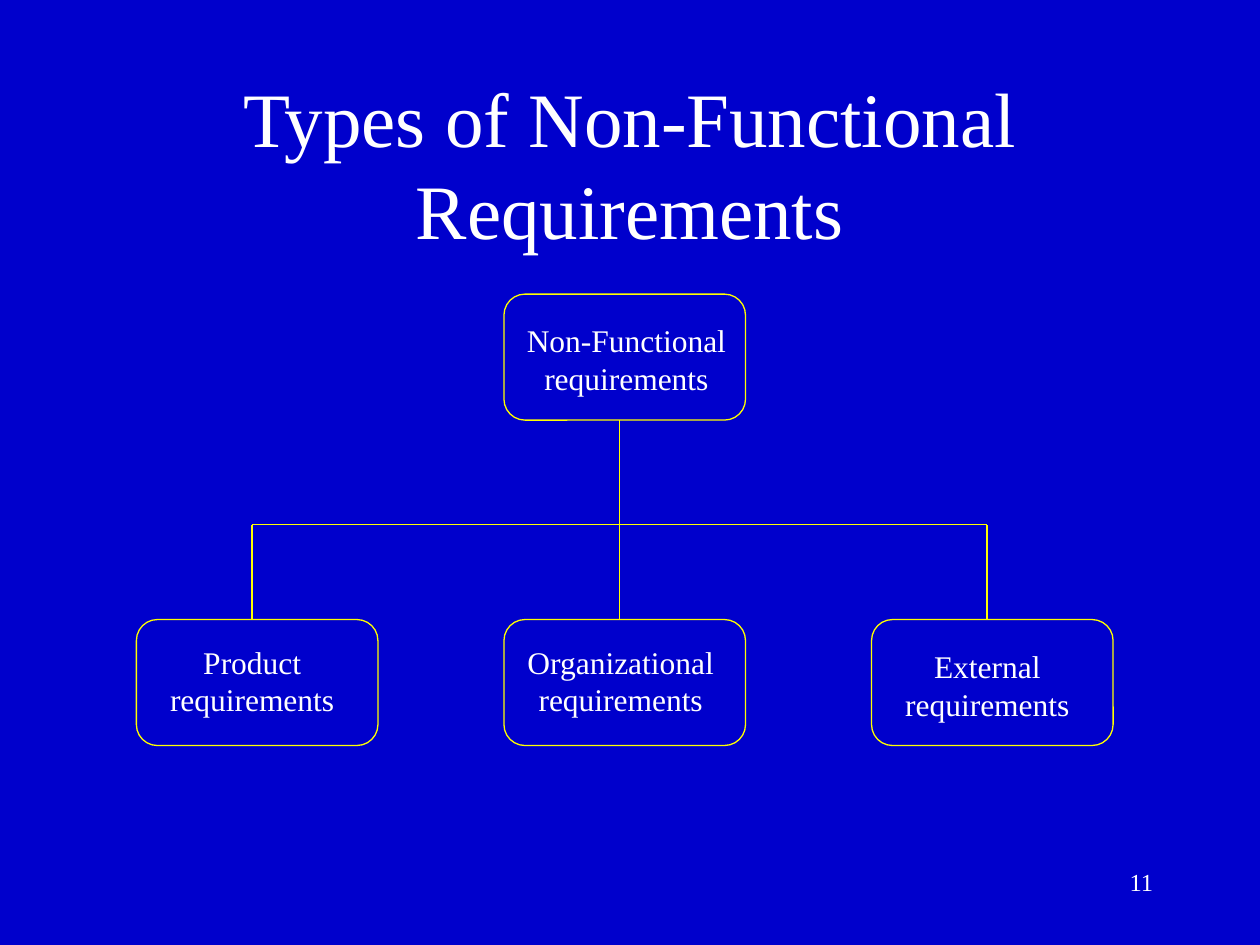
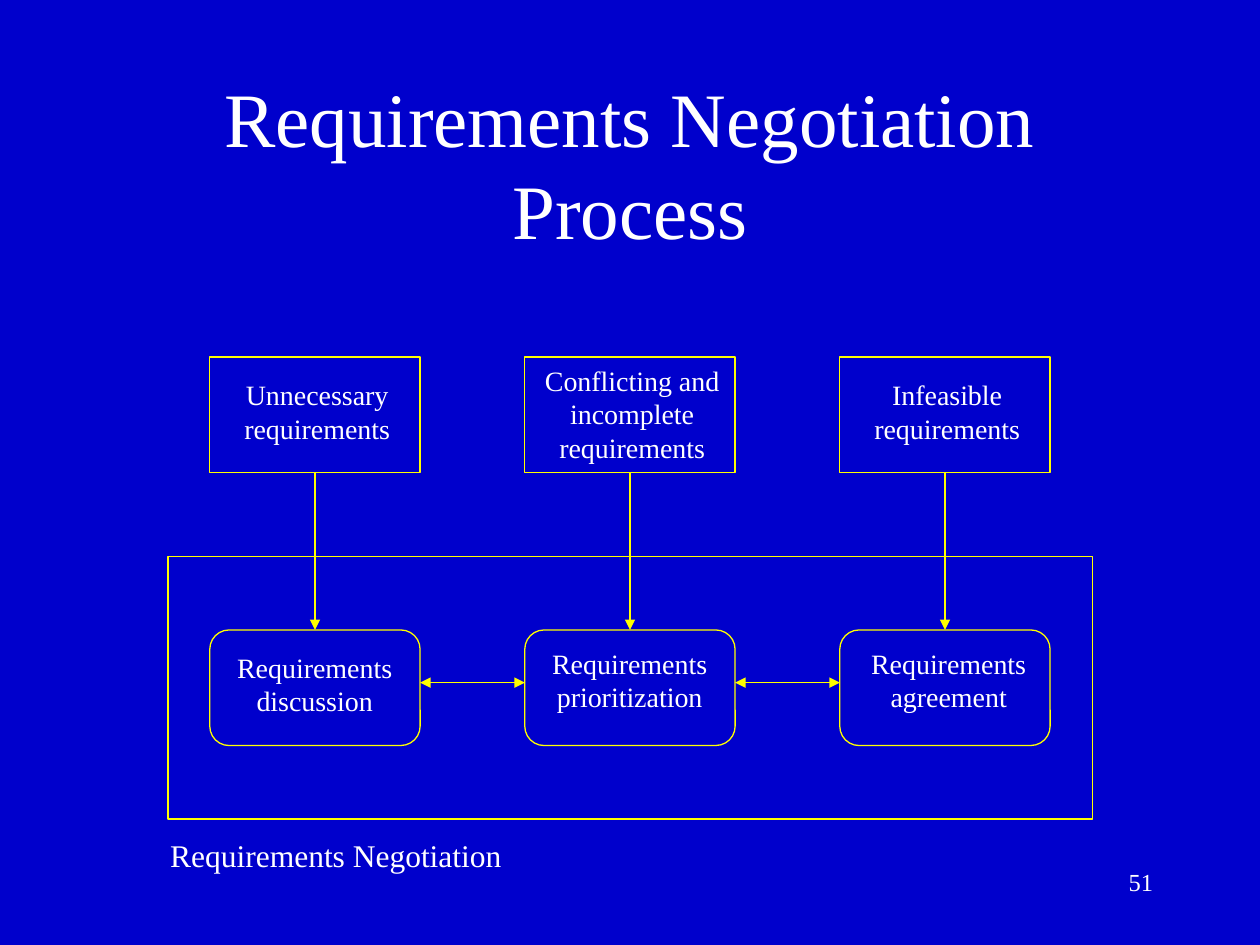
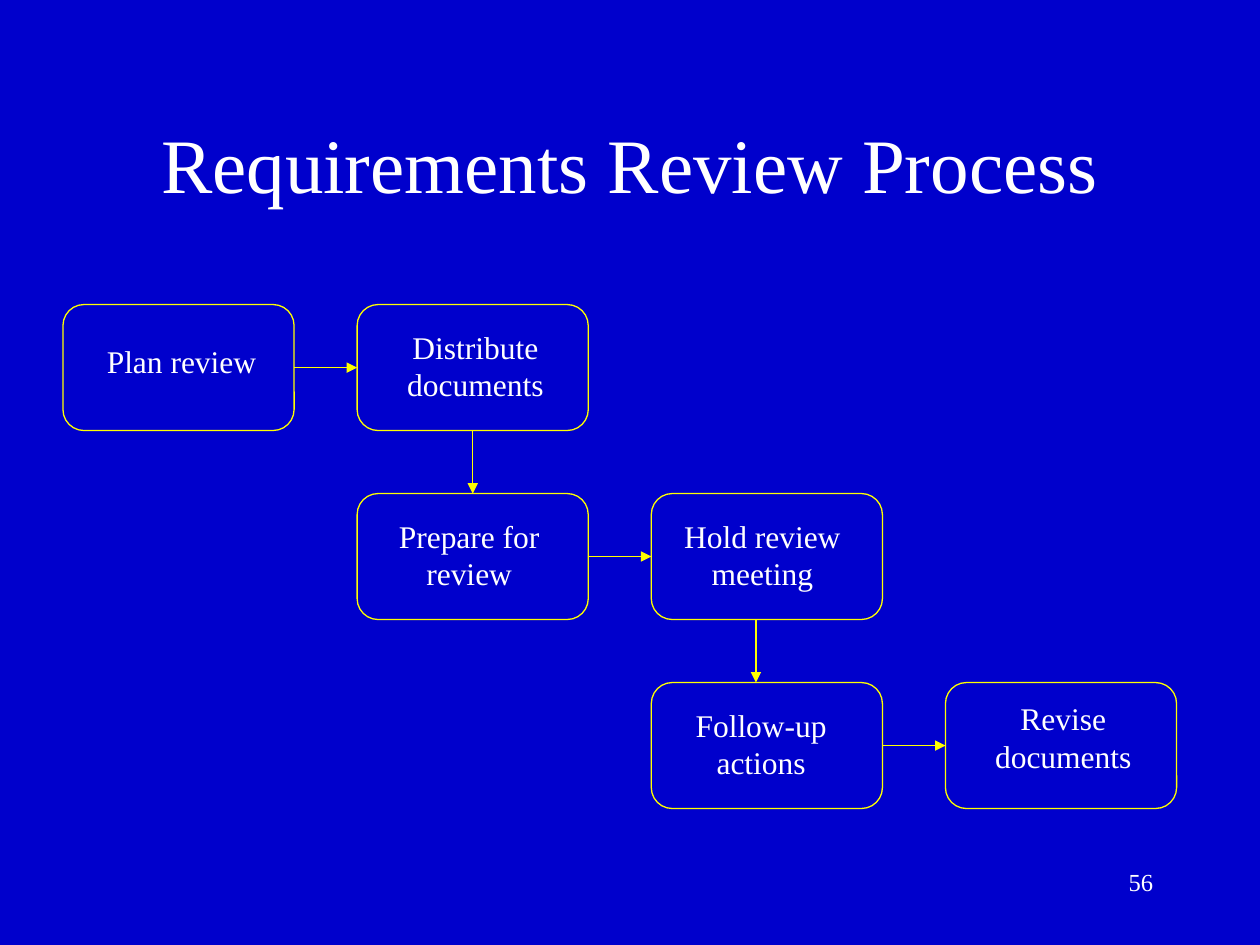
from dataclasses import dataclass

from lxml import etree
from pptx import Presentation
from pptx.dml.color import RGBColor
from pptx.enum.shapes import MSO_CONNECTOR, MSO_SHAPE
from pptx.enum.text import MSO_ANCHOR, MSO_AUTO_SIZE, PP_ALIGN
from pptx.oxml.ns import qn
from pptx.util import Cm, Pt

STRAIGHT = MSO_CONNECTOR.STRAIGHT
ROUNDED, RECTANGLE = MSO_SHAPE.ROUNDED_RECTANGLE, MSO_SHAPE.RECTANGLE
MIDDLE, TOP = MSO_ANCHOR.MIDDLE, MSO_ANCHOR.TOP
FIT_SHAPE, NO_FIT = MSO_AUTO_SIZE.SHAPE_TO_FIT_TEXT, MSO_AUTO_SIZE.NONE
CENTER, RIGHT = PP_ALIGN.CENTER, PP_ALIGN.RIGHT
TITLE_ONLY = 5


@dataclass(frozen=True)
class Theme:
    background: RGBColor = RGBColor(0x00, 0x00, 0xCC)
    text: RGBColor = RGBColor(0xFF, 0xFF, 0xFF)
    outline: RGBColor = RGBColor(0xFF, 0xFF, 0x00)
    font: str = "Times New Roman"
    title_size: int = 44
    label_size: int = 18
    small_size: int = 16
    number_size: int = 14
    line_width: float = 0.75


THEME = Theme()

# All lengths are centimetres.
# A label is (text, offset from the left and top of its box, width).
TYPES = {
    "title": "Types of Non-Functional Requirements",
    "number": "11",
    "root": ("Non-Functional\nrequirements", 0.18, 0.42, 4.58),
    "kinds": [
        ("Product\nrequirements", 0.4, 0.34, 3.87),
        ("Organizational\nrequirements", 0.19, 0.34, 4.33),
        ("External\nrequirements", 0.4, 0.43, 3.87),
    ],
}
NEGOTIATION = {
    "title": "Requirements Negotiation Process",
    "number": "51",
    "caption": "Requirements Negotiation",
    "inputs": [
        ("Unnecessary\nrequirements", 0.41, 0.29, 3.51),
        ("Conflicting and\nincomplete\nrequirements", 0.12, 0, 4.09),
        ("Infeasible\nrequirements", 0.41, 0.29, 3.51),
    ],
    "activities": [
        ("Requirements\ndiscussion", 0.27, 0.28, 3.69),
        ("Requirements\nprioritization", 0.27, 0.2, 3.69),
        ("Requirements\nagreement", 0.36, 0.2, 3.67),
    ],
}
REVIEW = {
    "title": "Requirements Review Process",
    "number": "56",
    "steps": [
        ("Plan review", 0.6, 0.64, 3.58),
        ("Distribute\ndocuments", 0.73, 0.34, 3.31),
        ("Prepare for\nreview", 0.56, 0.34, 3.4),
        ("Hold review\nmeeting", 0.38, 0.34, 3.72),
        ("Follow-up\nactions", 0.61, 0.34, 3.21),
        ("Revise\ndocuments", 0.72, 0.21, 3.31),
    ],
    "arrow_offsets": {1: 2.33, 3: 2.11},  # downward arrows, by step
}


def write(frame, text, size, align=CENTER, anchor=TOP, wrap=True, fit=NO_FIT):
    frame.text = text
    frame.word_wrap = wrap
    frame.auto_size = fit
    frame.vertical_anchor = anchor
    for para in frame.paragraphs:
        para.alignment = align
        for span in para.runs:
            span.font.size = Pt(size)
            span.font.name = THEME.font
            span.font.color.rgb = THEME.text


def add_page(deck, content):
    page = deck.slides.add_slide(deck.slide_layouts[TITLE_ONLY])
    title = page.shapes.title
    title.left, title.top = Cm(1.9), Cm(1.69)
    title.width, title.height = Cm(21.6), Cm(3.17)
    write(title.text_frame, content["title"], THEME.title_size, anchor=MIDDLE)
    number = page.shapes.add_textbox(Cm(18.21), Cm(17.35), Cm(5.29), Cm(1.27))
    write(number.text_frame, content["number"], THEME.number_size, RIGHT)
    return page


def style_line(line):
    line.color.rgb = THEME.outline
    line.width = Pt(THEME.line_width)


def add_box(page, left, top, width, height, preset=ROUNDED):
    box = page.shapes.add_shape(preset, Cm(left), Cm(top), Cm(width), Cm(height))
    box.shadow.inherit = False
    box.fill.background()
    style_line(box.line)


def add_label(page, text, left, top, width, size=THEME.label_size):
    line_count = text.count("\n") + 1
    height = Pt(1.2 * size * line_count) + Cm(0.25)
    label = page.shapes.add_textbox(Cm(left), Cm(top), Cm(width), height)
    write(label.text_frame, text, size, wrap=False, fit=FIT_SHAPE)


def add_labelled_box(page, label, left, top, box_size, preset=ROUNDED,
                     size=THEME.label_size):
    text, dx, dy, width = label
    add_box(page, left, top, *box_size, preset)
    add_label(page, text, left + dx, top + dy, width, size)


def add_line(page, start, end, heads=()):
    """Draw a line; heads may hold "headEnd" (at start) and "tailEnd" (at end)."""
    points = [Cm(value) for value in (*start, *end)]
    connector = page.shapes.add_connector(STRAIGHT, *points)
    style_line(connector.line)
    outline = connector.line._get_or_add_ln()
    for head in heads:
        etree.SubElement(outline, qn(f"a:{head}"), type="triangle")
    etree.SubElement(connector._element.spPr, qn("a:effectLst"))


def build_types(deck):
    page = add_page(deck, TYPES)
    box_size = width, height = 4.87, 2.54
    left, step = 2.75, 7.41
    root_top, bus, kind_top = 5.93, 10.58, 12.49
    stems = [5.08 + step * column for column in range(3)]

    add_labelled_box(page, TYPES["root"], left + step, root_top, box_size)
    for column, label in enumerate(TYPES["kinds"]):
        add_labelled_box(page, label, left + step * column, kind_top, box_size)
    add_line(page, (stems[1], root_top + height), (stems[1], kind_top))
    for stem in (stems[0], stems[2]):
        add_line(page, (stem, kind_top), (stem, bus))
    add_line(page, (stems[0], bus), (stems[2], bus))


def build_negotiation(deck):
    page = add_page(deck, NEGOTIATION)
    box_size = width, height = 4.24, 2.33
    step, input_top, activity_top, link = 6.35, 7.2, 12.7, 13.76
    lefts = [4.23 + step * column for column in range(3)]
    small = THEME.small_size

    add_box(page, 3.39, 11.22, 18.63, 5.29, RECTANGLE)
    add_label(page, NEGOTIATION["caption"], 3.15, 16.72, 7.25)
    rows = zip(lefts, NEGOTIATION["inputs"], NEGOTIATION["activities"])
    for left, source, activity in rows:
        add_labelled_box(page, source, left, input_top, box_size, RECTANGLE, small)
        add_labelled_box(page, activity, left, activity_top, box_size, size=small)
        center = left + width / 2
        add_line(page, (center, input_top + height), (center, activity_top),
                 ["tailEnd"])
    for left, following in zip(lefts, lefts[1:]):
        add_line(page, (left + width, link), (following, link),
                 ["headEnd", "tailEnd"])


def build_review(deck):
    page = add_page(deck, REVIEW)
    box_size = width, height = 4.66, 2.54
    column_step, row_step = 5.93, 3.81
    offsets = REVIEW["arrow_offsets"]
    last = len(REVIEW["steps"]) - 1

    for index, label in enumerate(REVIEW["steps"]):
        left = 1.27 + column_step * ((index + 1) // 2)
        top = 6.14 + row_step * (index // 2)
        add_labelled_box(page, label, left, top, box_size)
        if index in offsets:
            x = left + offsets[index]
            add_line(page, (x, top + height), (x, top + row_step), ["tailEnd"])
        elif index < last:
            y = top + height / 2
            add_line(page, (left + width, y), (left + column_step, y), ["tailEnd"])


def main():
    deck = Presentation()
    deck.slide_width, deck.slide_height = Cm(25.4), Cm(19.05)
    fill = deck.slide_master.background.fill
    fill.solid()
    fill.fore_color.rgb = THEME.background
    for build in (build_types, build_negotiation, build_review):
        build(deck)
    deck.save("out.pptx")


if __name__ == "__main__":
    main()
